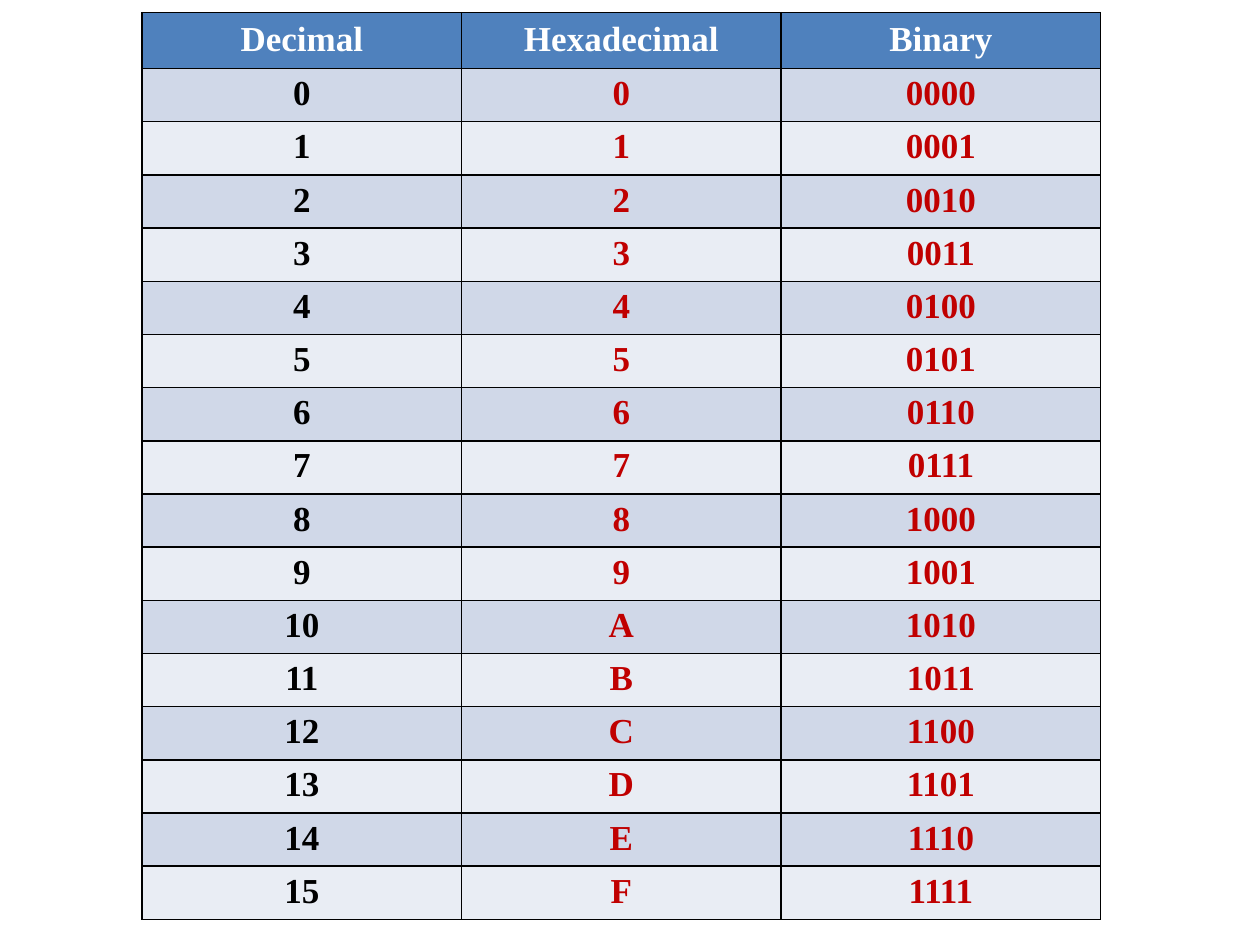
from dataclasses import dataclass

from lxml.etree import SubElement
from pptx import Presentation
from pptx.dml.color import RGBColor as RGB
from pptx.enum.text import MSO_ANCHOR as Anchor, PP_ALIGN as Align
from pptx.oxml.ns import qn
from pptx.util import Pt


@dataclass(frozen=True)
class Theme:
    font: str = "Times New Roman"
    size: int = 20
    line_spacing: float = 0.9
    border: str = "000000"
    border_width: int = 1
    header_fill: str = "4F81BD"
    header_text: str = "FFFFFF"
    bands: tuple = ("D0D8E8", "E9EDF4")
    column_text: tuple = ("000000", "C00000", "C00000")


THEME = Theme()
HEADINGS = ("Decimal", "Hexadecimal", "Binary")
HEADER_HEIGHT = 32


def add_borders(cell):
    """Draw a thin solid line on all four sides of a cell."""
    properties = cell._tc.get_or_add_tcPr()
    for side in ("lnL", "lnR", "lnT", "lnB"):
        line = SubElement(properties, qn(f"a:{side}"), w=str(Pt(THEME.border_width)))
        fill = SubElement(line, qn("a:solidFill"))
        SubElement(fill, qn("a:srgbClr"), val=THEME.border)


def write_cell(cell, text, fill, color):
    add_borders(cell)
    cell.fill.solid()
    cell.fill.fore_color.rgb = RGB.from_string(fill)
    cell.vertical_anchor = Anchor.MIDDLE
    paragraph = cell.text_frame.paragraphs[0]
    paragraph.alignment = Align.CENTER
    paragraph.line_spacing = THEME.line_spacing
    run = paragraph.add_run()
    run.text = text
    run.font.name = THEME.font
    run.font.size = Pt(THEME.size)
    run.font.bold = True
    run.font.color.rgb = RGB.from_string(color)


def add_number_table(slide, left, top, width, height):
    """Fill the given box (in points) with the numbers 0 to 15 in three bases."""
    numbers = [(f"{n}", f"{n:X}", f"{n:04b}") for n in range(16)]
    table = slide.shapes.add_table(
        len(numbers) + 1, len(HEADINGS), Pt(left), Pt(top), Pt(width), Pt(height)
    ).table

    # Equal columns, and equal rows below a taller header
    for column in table.columns:
        column.width = Pt(width / len(HEADINGS))
    for row in table.rows:
        row.height = Pt((height - HEADER_HEIGHT) / len(numbers))
    table.rows[0].height = Pt(HEADER_HEIGHT)

    # Header
    for c, heading in enumerate(HEADINGS):
        write_cell(table.cell(0, c), heading, THEME.header_fill, THEME.header_text)

    # Banded number rows
    for r, forms in enumerate(numbers):
        for c, (form, color) in enumerate(zip(forms, THEME.column_text)):
            write_cell(table.cell(r + 1, c), form, THEME.bands[r % 2], color)


def main():
    deck = Presentation()
    deck.slide_width, deck.slide_height = Pt(720), Pt(540)
    slide = deck.slides.add_slide(deck.slide_layouts.get_by_name("Blank"))
    add_number_table(slide, left=81.2, top=7.2, width=547.8, height=518.4)
    deck.save("out.pptx")


if __name__ == "__main__":
    main()
